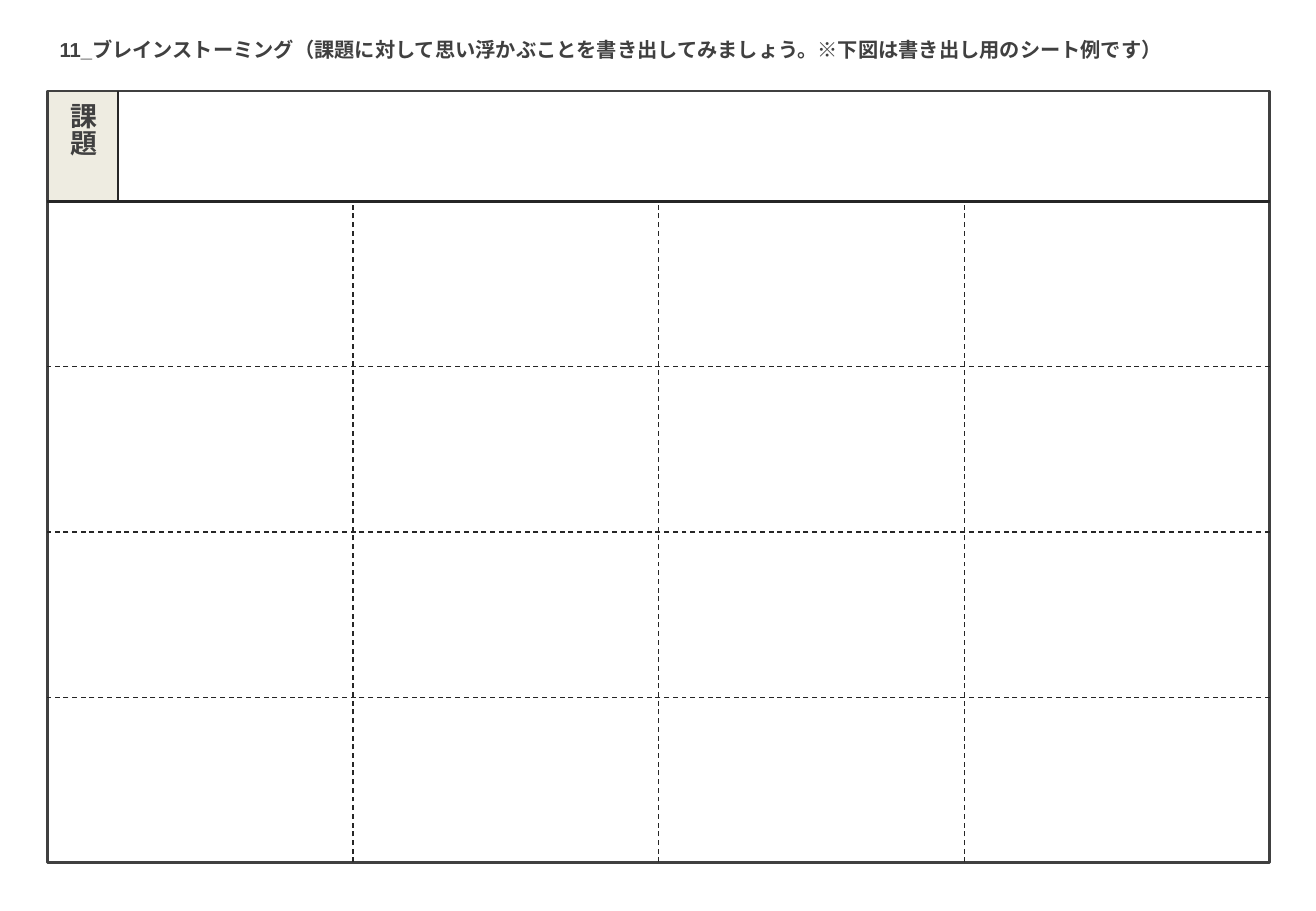
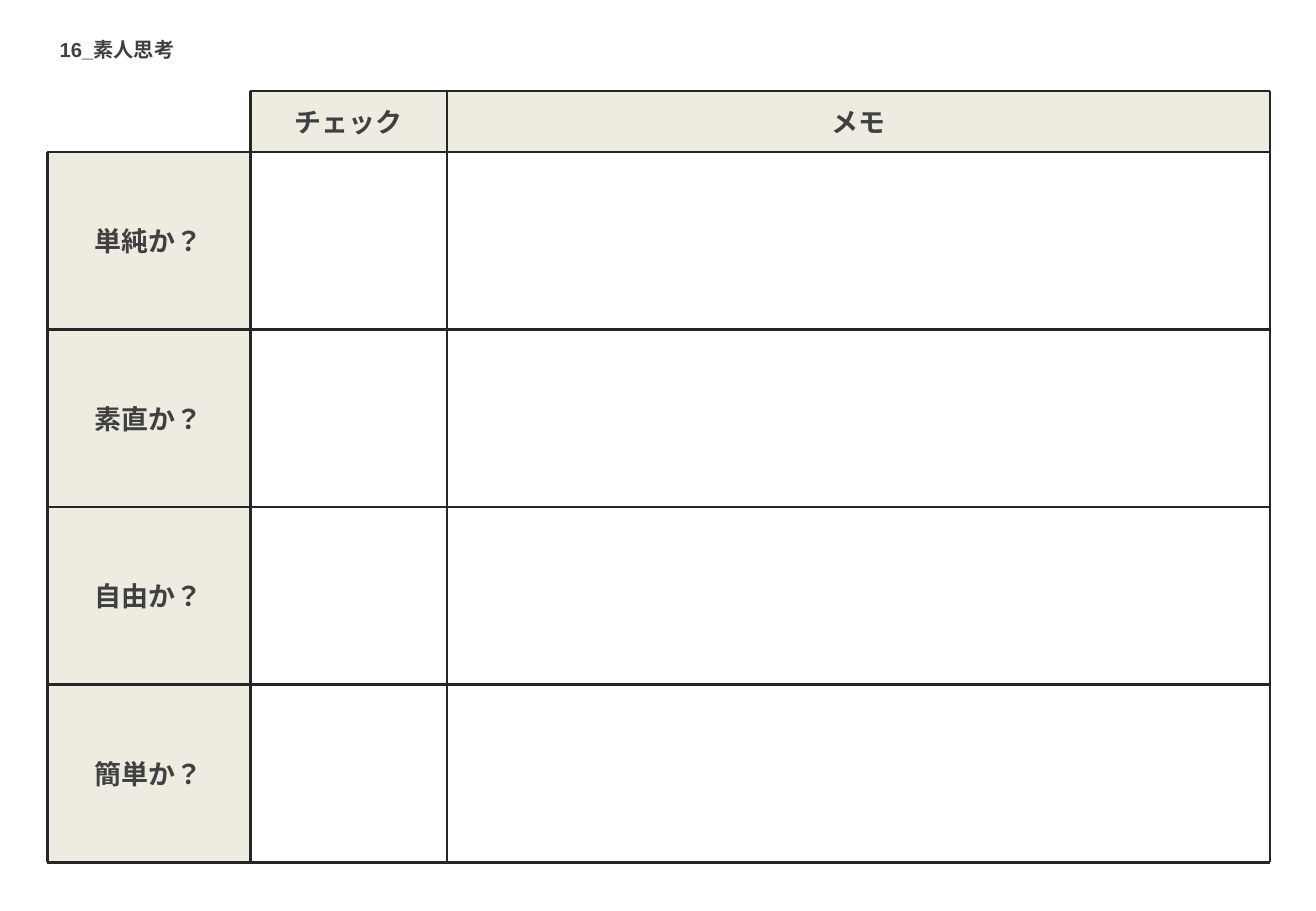
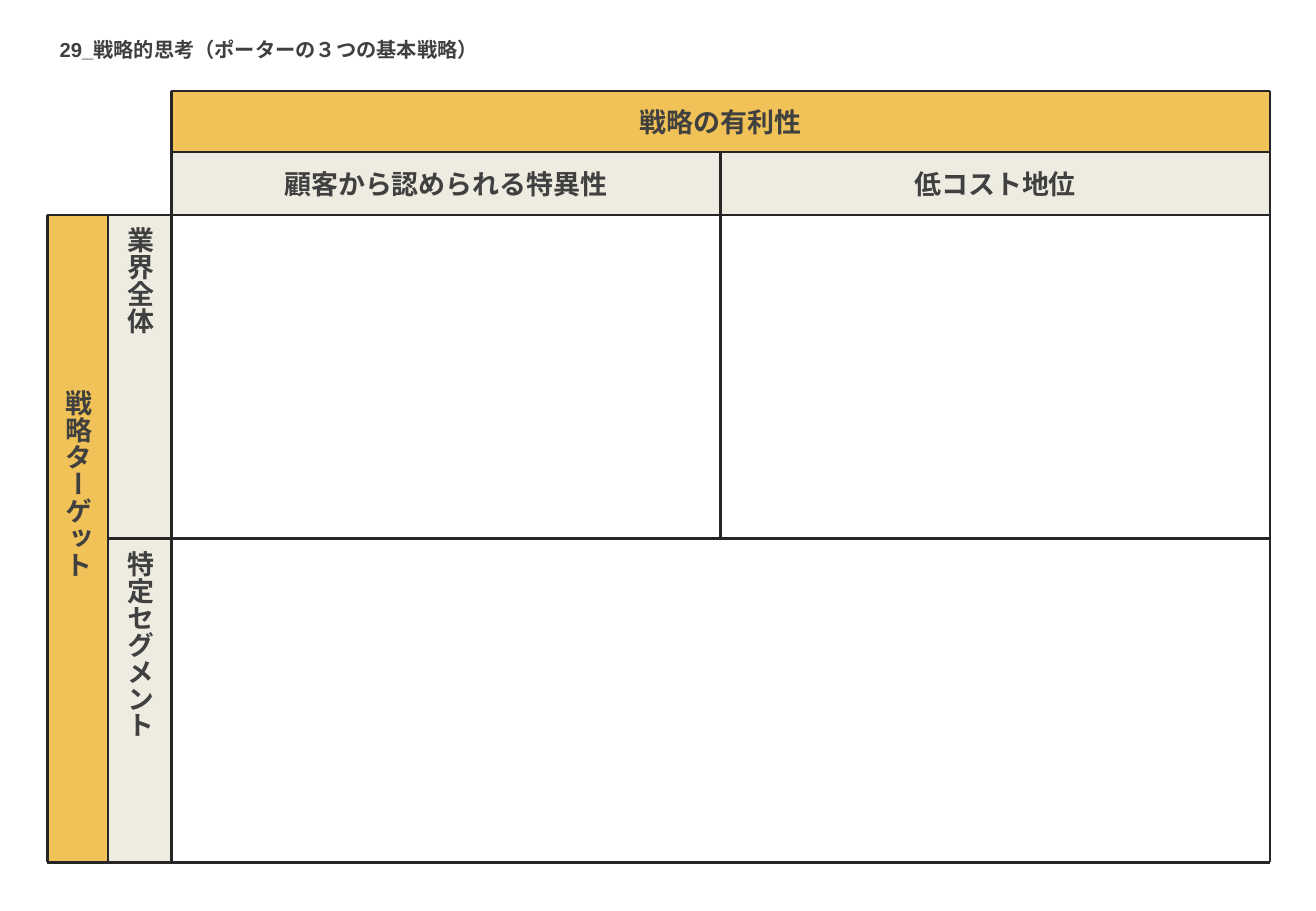
from lxml import etree
from pptx import Presentation
from pptx.dml.color import RGBColor
from pptx.enum.dml import MSO_LINE
from pptx.enum.lang import MSO_LANGUAGE_ID
from pptx.enum.shapes import MSO_CONNECTOR, MSO_SHAPE
from pptx.enum.text import MSO_ANCHOR, MSO_AUTO_SIZE, PP_ALIGN
from pptx.oxml.ns import qn
from pptx.util import Inches, Pt

STRAIGHT = MSO_CONNECTOR.STRAIGHT
RECT = MSO_SHAPE.RECTANGLE
DASH = MSO_LINE.DASH
JAPANESE = MSO_LANGUAGE_ID.JAPANESE
TOP_ANCHOR, MIDDLE = MSO_ANCHOR.TOP, MSO_ANCHOR.MIDDLE
GROW = MSO_AUTO_SIZE.SHAPE_TO_FIT_TEXT
ALIGN_LEFT, CENTER = PP_ALIGN.LEFT, PP_ALIGN.CENTER
SIDE_TOP, SIDE_BOTTOM, SIDE_RIGHT = 0, 2, 3

# Shared style
FONT = "Arial"
TEXT = RGBColor(0x40, 0x40, 0x40)
RULE = RGBColor(0x26, 0x26, 0x26)
BEIGE = RGBColor(0xEE, 0xEC, 0xE1)
YELLOW = RGBColor(0xF0, 0xC2, 0x57)

# Sheet edges and label sizes, in inches
LEFT, TOP, RIGHT, BOTTOM = 0.39, 0.75, 10.45, 7.1
BAND = 0.5
LABEL_H, LABEL_W = 0.37, 0.47

# Content: title text and title width
BRAINSTORM = ("11_ブレインストーミング（課題に対して思い浮かぶことを書き出してみましょう。"
              "※下図は書き出し用のシート例です）", 9.4)
AMATEUR = ("16_素人思考", 1.15)
STRATEGY = ("29_戦略的思考（ポーターの３つの基本戦略）", 3.68)

TOPIC = "課題"
IDEA_ROWS, IDEA_COLS = 4, 4
QUESTIONS = ["単純か？", "素直か？", "自由か？", "簡単か？"]
CHECK, MEMO = "チェック", "メモ"
ADVANTAGE, TARGET = "戦略の有利性", "戦略ターゲット"
ADVANTAGES = ["顧客から認められる特異性", "低コスト地位"]
TARGETS = ["業界全体", "特定セグメント"]


def write(tf, text, size, align, anchor):
    tf.word_wrap = True
    tf.auto_size = GROW
    tf.vertical_anchor = anchor
    p = tf.paragraphs[0]
    p.alignment = align
    r = p.add_run()
    r.text = text
    r.font.name = FONT
    r.font.size = Pt(size)
    r.font.bold = True
    r.font.color.rgb = TEXT
    r.font.language_id = JAPANESE


def add_sheet(prs, heading):
    """New slide with its title."""
    text, width = heading
    s = prs.slides.add_slide(prs.slide_layouts[5])
    title = s.shapes.title
    title.left, title.top = Inches(LEFT), Inches(0.26)
    title.width, title.height = Inches(width), Inches(0.3)
    write(title.text_frame, text, 12, ALIGN_LEFT, TOP_ANCHOR)
    return s


def add_rect(s, x1, y1, x2, y2, fill=None):
    """Filled band without outline, or an outlined frame if there is no fill."""
    sp = s.shapes.add_shape(RECT, Inches(x1), Inches(y1),
                            Inches(x2 - x1), Inches(y2 - y1))
    sp.shadow.inherit = False
    if fill is None:
        sp.fill.background()
        sp.line.color.rgb = TEXT
        sp.line.width = Pt(1.5)
    else:
        sp.fill.solid()
        sp.fill.fore_color.rgb = fill
        sp.line.fill.background()
    return sp


def add_rule(s, x1, y1, x2, y2, dashed=False):
    line = s.shapes.add_connector(STRAIGHT, Inches(x1), Inches(y1),
                                  Inches(x2), Inches(y2))
    line.line.color.rgb = RULE
    line.line.width = Pt(0.75 if dashed else 1.5)
    if dashed:
        line.line.dash_style = DASH
    etree.SubElement(line._element.spPr, qn("a:effectLst"))
    return line


def add_label(s, text, x, y, w, h=LABEL_H, vertical=False):
    tb = s.shapes.add_textbox(Inches(x), Inches(y), Inches(w), Inches(h))
    write(tb.text_frame, text, 16, CENTER, MIDDLE)
    if vertical:
        tb.text_frame._txBody.bodyPr.set("vert", "eaVert")


def build_brainstorm(prs):
    s = add_sheet(prs, BRAINSTORM)
    topic_right, grid_top = 0.97, 1.66
    col_w = (RIGHT - LEFT) / IDEA_COLS
    row_h = (BOTTOM - grid_top) / IDEA_ROWS

    # Topic band and outer frame
    add_rect(s, LEFT, TOP, topic_right, grid_top, BEIGE)
    frame = add_rect(s, LEFT, TOP, RIGHT, BOTTOM)
    add_rule(s, topic_right, TOP, topic_right, grid_top)
    add_rule(s, LEFT, grid_top, RIGHT, grid_top)
    add_label(s, TOPIC, 0.45, TOP, LABEL_W, 0.9, vertical=True)

    # Idea grid
    for i in range(1, IDEA_COLS):
        x = LEFT + i * col_w
        line = add_rule(s, x, BOTTOM, x, grid_top, dashed=True)
        if 2 * i == IDEA_COLS:
            line.begin_connect(frame, SIDE_BOTTOM)
    for i in range(1, IDEA_ROWS):
        y = grid_top + i * row_h
        add_rule(s, RIGHT, y, LEFT, y, dashed=True)


def build_amateur(prs):
    s = add_sheet(prs, AMATEUR)
    check_x, memo_x = 2.06, 3.68
    grid_top = TOP + BAND
    row_h = (BOTTOM - grid_top) / len(QUESTIONS)

    # Header bands
    add_rect(s, LEFT, grid_top, check_x, BOTTOM, BEIGE)
    add_rect(s, check_x, TOP, RIGHT, grid_top, BEIGE)

    # Rules
    for x, y in [(LEFT, grid_top), (check_x, TOP), (memo_x, TOP), (RIGHT, TOP)]:
        add_rule(s, x, BOTTOM, x, y)
    add_rule(s, check_x, TOP, RIGHT, TOP)
    for i in range(len(QUESTIONS) + 1):
        y = grid_top + i * row_h
        add_rule(s, LEFT, y, RIGHT, y)

    # Labels
    add_label(s, CHECK, check_x, 0.82, memo_x - check_x)
    add_label(s, MEMO, memo_x, 0.82, RIGHT - memo_x)
    for i, question in enumerate(QUESTIONS):
        y = grid_top + (i + 0.5) * row_h - LABEL_H / 2
        add_label(s, question, 0.41, y, 1.62)


def build_strategy(prs):
    s = add_sheet(prs, STRATEGY)
    target_x, grid_x = 0.89, 1.41
    sub_top, grid_top = TOP + BAND, 1.77
    mid_x, mid_y = (grid_x + RIGHT) / 2, (grid_top + BOTTOM) / 2

    # Header bands
    add_rect(s, target_x, grid_top, grid_x, BOTTOM, BEIGE)
    target = add_rect(s, LEFT, grid_top, target_x, BOTTOM, YELLOW)
    add_rect(s, grid_x, sub_top, RIGHT, grid_top, BEIGE)
    advantage = add_rect(s, grid_x, TOP, RIGHT, sub_top, YELLOW)

    # Rules
    for x, y in [(LEFT, grid_top), (target_x, grid_top), (grid_x, TOP), (RIGHT, TOP)]:
        add_rule(s, x, BOTTOM, x, y)
    for x, y in [(grid_x, TOP), (grid_x, sub_top), (LEFT, grid_top), (LEFT, BOTTOM)]:
        add_rule(s, x, y, RIGHT, y)
    row_rule = add_rule(s, target_x, mid_y, RIGHT, mid_y)
    row_rule.begin_connect(target, SIDE_RIGHT)
    col_rule = add_rule(s, mid_x, mid_y, mid_x, sub_top)
    col_rule.end_connect(advantage, SIDE_BOTTOM)

    # Labels
    add_label(s, ADVANTAGE, mid_x - 1.25, 0.82, 2.5)
    col_w, row_h = mid_x - grid_x, mid_y - grid_top
    for i, text in enumerate(ADVANTAGES):
        add_label(s, text, grid_x + i * col_w, 1.33, col_w)
    add_label(s, TARGET, 0.41, 3.11, LABEL_W, 2.65, vertical=True)
    for i, text in enumerate(TARGETS):
        add_label(s, text, 0.92, grid_top + i * row_h, LABEL_W, row_h, vertical=True)


def main():
    prs = Presentation()
    prs.slide_width, prs.slide_height = Inches(10.83), Inches(7.5)
    build_brainstorm(prs)
    build_amateur(prs)
    build_strategy(prs)
    prs.save("out.pptx")


if __name__ == "__main__":
    main()
